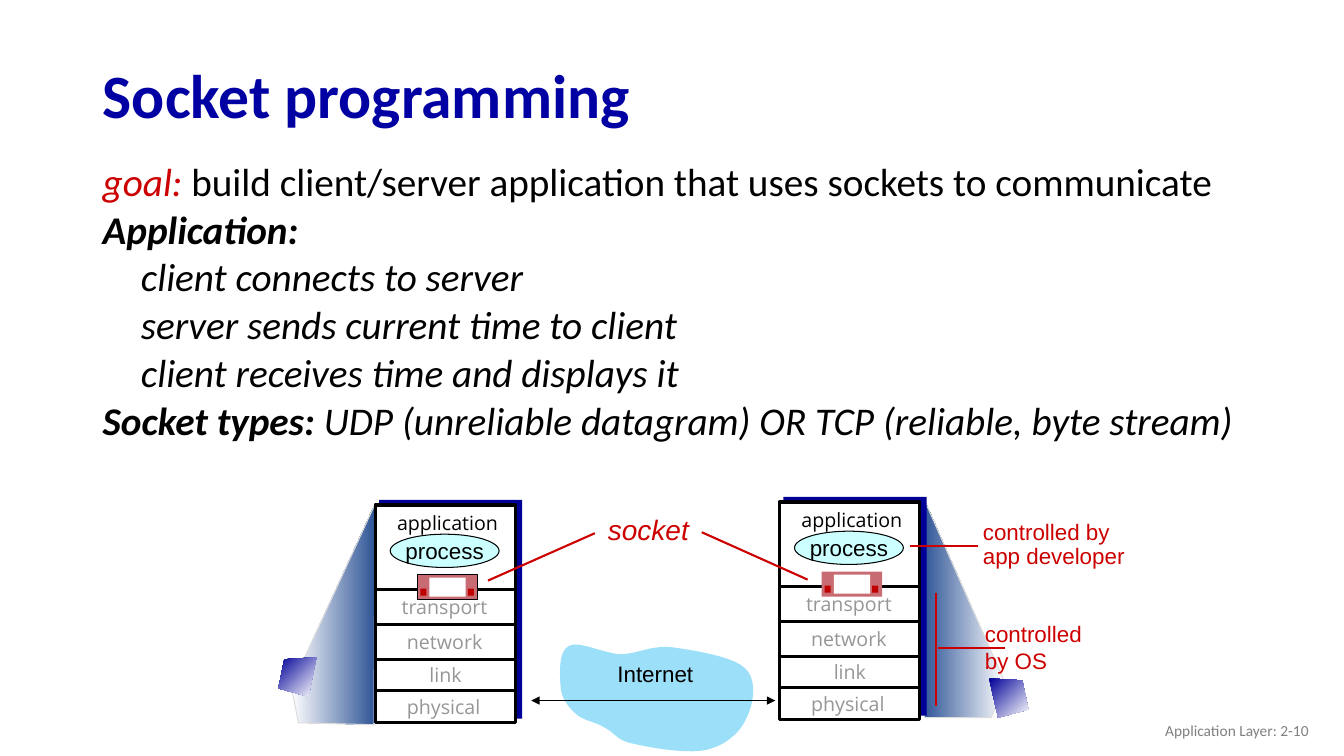
from lxml.etree import SubElement
from pptx import Presentation
from pptx.dml.color import RGBColor
from pptx.enum.shapes import MSO_CONNECTOR, MSO_SHAPE
from pptx.enum.text import MSO_ANCHOR, MSO_AUTO_SIZE, PP_ALIGN
from pptx.oxml.ns import qn
from pptx.util import Inches, Pt

RED, BLACK, GRAY, WHITE, NAVY = "CC0000", "000000", "969696", "FFFFFF", "000099"
LAYERS = [("application", 0, -0.01, BLACK), ("transport", -0.03, 0.82, GRAY),
          ("network", -0.03, 1.17, GRAY), ("link", -0.02, 1.49, GRAY),
          ("physical", -0.04, 1.81, GRAY)]
DIVIDERS = [0.84, 1.19, 1.53, 1.84]
CLOUD_START = (5.56, 6.8)
CLOUD_CURVES = [
    ((5.55, 6.68), (5.54, 6.46), (5.64, 6.41)),
    ((5.73, 6.35), (5.98, 6.48), (6.15, 6.49)),
    ((6.32, 6.49), (6.45, 6.4), (6.66, 6.42)),
    ((6.87, 6.45), (7.27, 6.51), (7.39, 6.63)),
    ((7.52, 6.75), (7.47, 7), (7.4, 7.13)),
    ((7.34, 7.27), (7.19, 7.4), (7, 7.44)),
    ((6.82, 7.48), (6.46, 7.42), (6.29, 7.38)),
    ((6.12, 7.35), (6.1, 7.27), (6, 7.22)),
    ((5.91, 7.16), (5.78, 7.15), (5.71, 7.08)),
    ((5.63, 7.01), (5.56, 6.91), (5.56, 6.8)),
]


def rgb(color):
    return RGBColor.from_string(color)


def add_run(paragraph, text, size, color, font, bold=False, italic=False):
    run = paragraph.add_run()
    run.text = text
    run.font.size = Pt(size)
    run.font.name = font
    run.font.bold = bold
    run.font.italic = italic
    run.font.color.rgb = rgb(color)


def add_label(slide, box, lines, size, color, font="Arial", align=PP_ALIGN.LEFT,
              spacing=None, wrap=False, italic=False, anchor=MSO_ANCHOR.TOP):
    frame = slide.shapes.add_textbox(*map(Inches, box)).text_frame
    frame.word_wrap = wrap
    frame.vertical_anchor = anchor
    if not wrap:
        frame.auto_size = MSO_AUTO_SIZE.SHAPE_TO_FIT_TEXT
    for index, line in enumerate(lines):
        paragraph = frame.add_paragraph() if index else frame.paragraphs[0]
        paragraph.alignment = align
        paragraph.line_spacing = spacing
        add_run(paragraph, line, size, color, font, italic=italic)


def set_line(shape, color, width):
    if color:
        shape.line.color.rgb = rgb(color)
        shape.line.width = Pt(width)
    else:
        shape.line.fill.background()


def add_block(shapes, kind, box, fill, line=None, width=0.75):
    block = shapes.add_shape(kind, *map(Inches, box))
    block.shadow.inherit = False
    block.fill.solid()
    block.fill.fore_color.rgb = rgb(fill)
    set_line(block, line, width)
    return block


def add_outline(slide, points, colors, angle=0, line=None):
    start, *rest = [(Inches(x), Inches(y)) for x, y in points]
    builder = slide.shapes.build_freeform(*start, scale=1.0)
    builder.add_line_segments(rest, close=True)
    outline = builder.convert_to_shape()
    outline.shadow.inherit = False
    if len(colors) == 1:
        outline.fill.solid()
        outline.fill.fore_color.rgb = rgb(colors[0])
    else:
        outline.fill.gradient()
        outline.fill.gradient_angle = angle
        for stop, color in zip(outline.fill.gradient_stops, colors):
            stop.color.rgb = rgb(color)
    set_line(outline, line, 0.75)


def add_rule(slide, start, end, color, width, arrows=False):
    rule = slide.shapes.add_connector(MSO_CONNECTOR.STRAIGHT, *map(Inches, start + end))
    set_line(rule, color, width)
    if arrows:
        outline = rule.line._get_or_add_ln()
        for tag in ("a:headEnd", "a:tailEnd"):
            SubElement(outline, qn(tag), type="triangle")
    SubElement(rule._element.spPr, qn("a:effectLst"))


def curve_points(start, curves, steps=10):
    points = [start]
    for c1, c2, end in curves:
        p0 = points[-1]
        for step in range(1, steps + 1):
            t = step / steps
            u = 1 - t
            points.append(tuple(
                u**3 * a + 3 * u * u * t * b + 3 * u * t * t * c + t**3 * d
                for a, b, c, d in zip(p0, c1, c2, end)))
    return points[:-1]


def add_socket(slide, x, y, border):
    group = slide.shapes.add_group_shape().shapes
    parts = [(0, 0, 0.6, 0.25, "C96B72", border), (0.12, 0.03, 0.36, 0.19, WHITE, None),
             (0.5, 0.14, 0.06, 0.07, "C00000", None), (0.03, 0.14, 0.06, 0.07, "C00000", None)]
    for dx, dy, width, height, fill, line in parts:
        add_block(group, MSO_SHAPE.RECTANGLE, (x + dx, y + dy, width, height), fill, line)


def add_host(slide, x, y, socket_border):
    add_block(slide.shapes, MSO_SHAPE.RECTANGLE, (x + 0.04, y - 0.05, 1.42, 2.17), NAVY)
    add_block(slide.shapes, MSO_SHAPE.RECTANGLE, (x, y, 1.39, 2.16), WHITE, BLACK, 2.25)
    for dy in DIVIDERS:
        add_rule(slide, (x + 0.01, y + dy), (x + 1.39, y + dy), BLACK, 2.25)
    for layer, dx, dy, color in LAYERS:
        add_label(slide, (x + dx, y + dy, 1.44, 0.36), [layer], 14, color, "Open Sans",
                  PP_ALIGN.CENTER, 1.1, wrap=True)
    process = add_block(slide.shapes, MSO_SHAPE.OVAL, (x + 0.15, y + 0.29, 1.08, 0.33),
                        "CCFFFF", BLACK)
    frame = process.text_frame
    frame.word_wrap = False
    frame.vertical_anchor = MSO_ANCHOR.MIDDLE
    frame.paragraphs[0].alignment = PP_ALIGN.CENTER
    add_run(frame.paragraphs[0], "process", 16, BLACK, "Arial")
    add_socket(slide, x + 0.42, y + 0.69, socket_border)


def add_title(slide, text):
    title = slide.shapes.title
    title.left, title.top, title.width, title.height = map(Inches, (0.92, 0.49, 11.5, 0.98))
    frame = title.text_frame
    frame.auto_size = MSO_AUTO_SIZE.NONE
    frame.vertical_anchor = MSO_ANCHOR.MIDDLE
    paragraph = frame.paragraphs[0]
    paragraph.alignment = PP_ALIGN.LEFT
    paragraph.line_spacing = 0.9
    add_run(paragraph, text, 44, "0000A3", "Calibri", bold=True)


def add_goals(slide):
    goals = [
        [("goal:", RED, False, True),
         (" build client/server application that uses sockets to communicate", BLACK, False, False)],
        [("Application:", BLACK, True, True)],
        [("\tclient connects to server", BLACK, False, True)],
        [("\tserver sends current time to client", BLACK, False, True)],
        [("\tclient receives time and displays it", BLACK, False, True)],
        [("Socket types: ", BLACK, True, True),
         ("UDP (unreliable datagram) OR TCP (reliable, byte stream)", BLACK, False, True)],
    ]
    frame = slide.shapes.add_textbox(*map(Inches, (0.92, 1.58, 12.41, 1.68))).text_frame
    frame.word_wrap = True
    for index, goal in enumerate(goals):
        paragraph = frame.add_paragraph() if index else frame.paragraphs[0]
        paragraph.line_spacing = 0.85
        paragraph.space_before = Pt(5.6)
        properties = paragraph._p.get_or_add_pPr()
        properties.set("marL", str(Inches(0.38)))
        properties.set("indent", str(-Inches(0.38)))
        for text, color, bold, italic in goal:
            add_run(paragraph, text, 28, color, "Calibri", bold, italic)


def main():
    deck = Presentation()
    deck.slide_width, deck.slide_height = Inches(13.33), Inches(7.5)
    slide = deck.slides.add_slide(deck.slide_layouts[5])
    add_title(slide, "Socket programming")
    add_goals(slide)

    beam = (WHITE, "2F5597")
    add_outline(slide, [(9.97, 6.78), (9.16, 4.94), (9.17, 7.12), (9.83, 7.12)],
                beam, 180, "DDDDDD")
    add_outline(slide, [(2.89, 6.81), (3.72, 5), (3.71, 7.19), (2.96, 7.17)],
                beam, 0, "DDDDDD")
    add_outline(slide, curve_points(CLOUD_START, CLOUD_CURVES), ["9CDFF9"])
    add_label(slide, (6.02, 6.5, 0.96, 0.37), ["Internet"], 16, BLACK, align=PP_ALIGN.CENTER)
    add_rule(slide, (5.27, 6.95), (7.69, 6.95), BLACK, 0.75, arrows=True)

    add_host(slide, 3.72, 5.01, BLACK)
    add_host(slide, 7.73, 4.98, None)

    add_label(slide, (9.67, 6.1, 1.16, 0.9), ["controlled", "by OS"], 16, RED)
    add_label(slide, (9.65, 5.12, 1.61, 0.58), ["controlled by", "app developer"], 16, RED,
              spacing=0.9)
    add_label(slide, (5.93, 5.07, 1.03, 0.4), ["socket"], 20, RED, spacing=0.9, italic=True)
    for start, end in [((9.7, 5.42), (9.03, 5.42)), ((9.28, 5.88), (9.28, 7)),
                       ((9.97, 6.43), (9.3, 6.43)), ((4.84, 5.76), (5.9, 5.29)),
                       ((8.01, 5.75), (6.96, 5.28))]:
        add_rule(slide, start, end, RED, 1.5)

    for corners in [[(3.14, 6.52), (2.82, 6.54), (2.76, 6.83), (3.06, 6.91)],
                    [(9.81, 6.73), (10.14, 6.75), (10.2, 7.04), (9.9, 7.12)]]:
        add_outline(slide, corners, (NAVY, WHITE), 315)
    add_label(slide, (10.08, 7.05, 3, 0.4), ["Application Layer: 2-10"], 11, "808080", "Calibri",
              PP_ALIGN.RIGHT, wrap=True, anchor=MSO_ANCHOR.MIDDLE)
    deck.save("out.pptx")


main()
